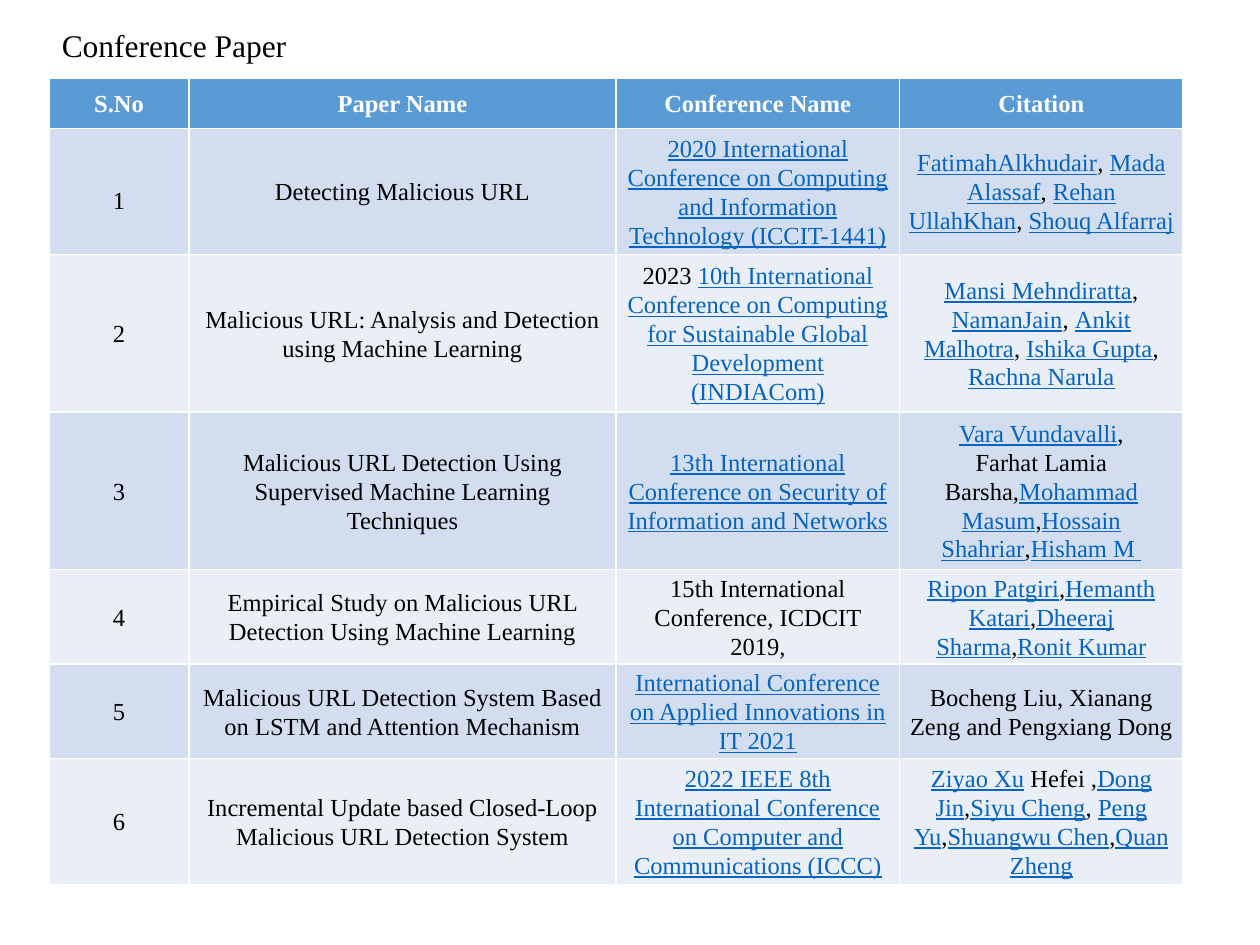
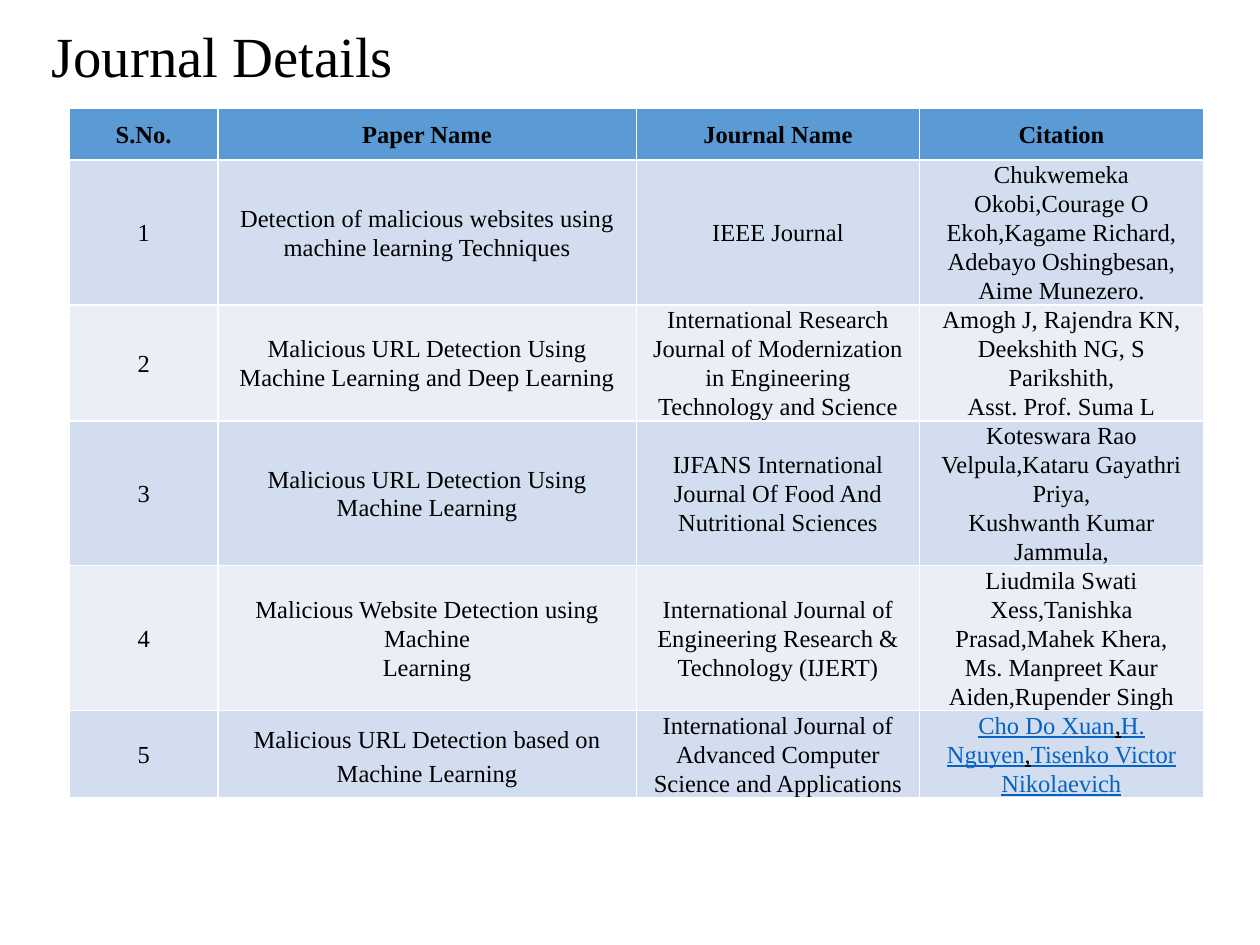
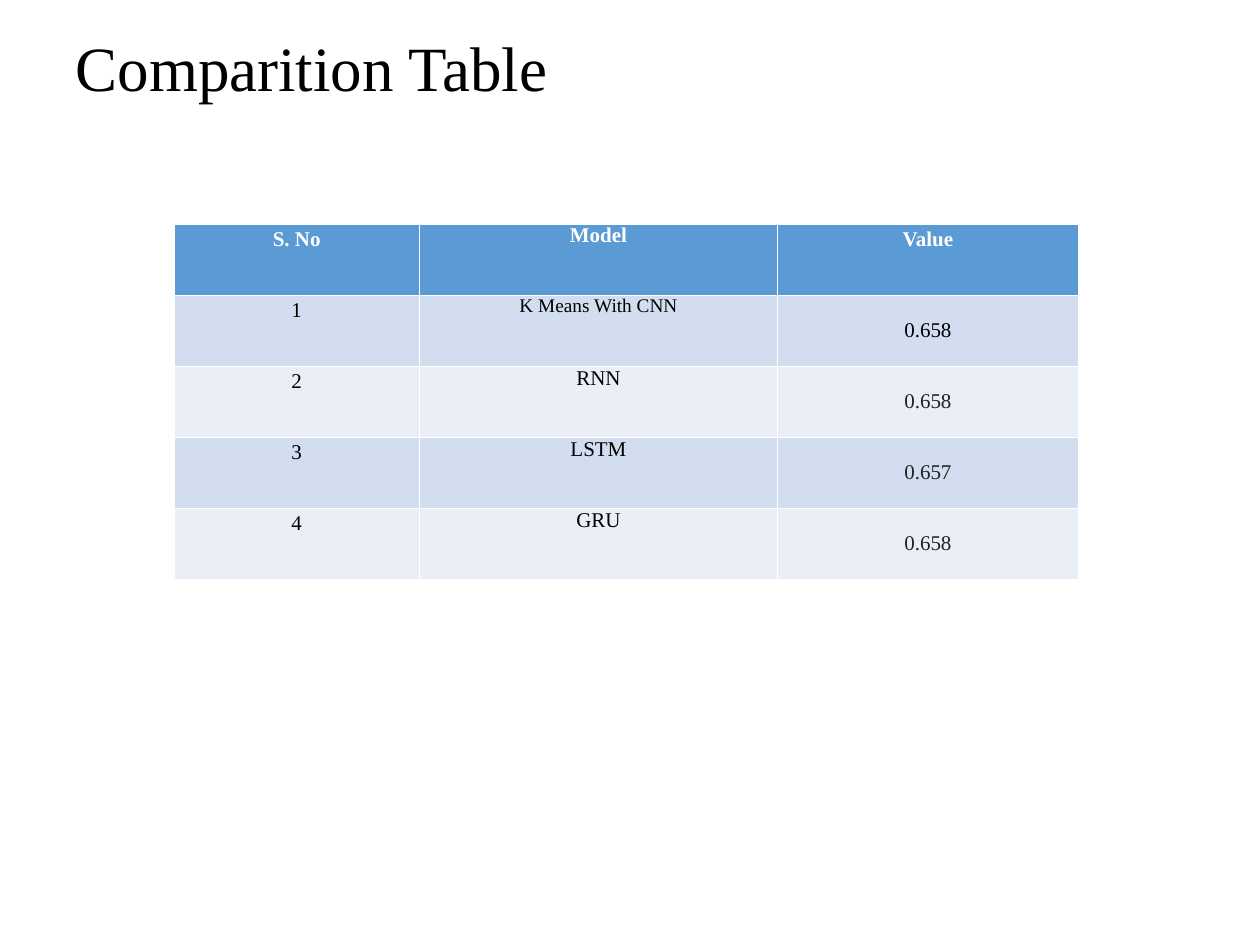
from dataclasses import dataclass, replace

from pptx import Presentation
from pptx import util as u
from pptx.dml import color
from pptx.enum import text

FONT = "Times New Roman"
WIDTH, HEIGHT = u.Inches(10), u.Inches(7.5)
GRID_COLUMNS, GRID_ROWS = 100, 75
COLORS = {
    "ink": "000000",
    "value": "212121",
    "white": "FFFFFF",
    "link": "0563C1",
    "header": "5B9BD5",
    "band_dark": "D2DEEF",
    "band_light": "EAEFF7",
}


@dataclass(frozen=True)
class Style:
    size: float = 14
    color: str = "ink"
    bold: bool = False
    underline: bool = False
    spacing: float | u.Length = 1.07
    space_after: float = 0
    anchor: text.MSO_ANCHOR = text.MSO_ANCHOR.MIDDLE


@dataclass(frozen=True)
class Cell:
    words: str
    style: Style


@dataclass(frozen=True)
class Title:
    words: str
    left: float
    top: float
    width: float
    height: float
    size: float
    anchor: text.MSO_ANCHOR = text.MSO_ANCHOR.MIDDLE


@dataclass(frozen=True)
class Table:
    left: float
    top: float
    height: float
    columns: list[float]
    rows: list[float]
    cells: list[list[Cell]]


def across(columns: float) -> int:
    return round(WIDTH * columns / GRID_COLUMNS)


def down(rows: float) -> int:
    return round(HEIGHT * rows / GRID_ROWS)


def rgb(name: str) -> color.RGBColor:
    return color.RGBColor.from_string(COLORS[name])


def set_all(target, values: dict) -> None:
    for name, value in values.items():
        setattr(target, name, value)


def add_run(paragraph, words: str, style: Style) -> None:
    run = paragraph.add_run()
    run.text = words
    set_all(run.font, {
        "name": FONT,
        "size": u.Pt(style.size),
        "bold": style.bold,
        "underline": style.underline,
    })
    run.font.color.rgb = rgb(style.color)


def draw_title(slide, title: Title) -> None:
    shape = slide.shapes.title
    set_all(shape, {
        "left": across(title.left),
        "top": down(title.top),
        "width": across(title.width),
        "height": down(title.height),
    })
    set_all(shape.text_frame, {
        "word_wrap": True,
        "auto_size": text.MSO_AUTO_SIZE.NONE,
        "vertical_anchor": title.anchor,
    })
    paragraph = shape.text_frame.paragraphs[0]
    paragraph.alignment = text.PP_ALIGN.LEFT
    add_run(paragraph, title.words, Style(size=title.size))


def fill_cell(table_cell, cell: Cell, fill: str) -> None:
    style = cell.style
    link = replace(style, color="link", underline=True)
    table_cell.fill.solid()
    table_cell.fill.fore_color.rgb = rgb(fill)
    set_all(table_cell, {
        "margin_left": u.Inches(0.07),
        "margin_right": u.Inches(0.07),
        "margin_top": 0,
        "margin_bottom": 0,
        "vertical_anchor": style.anchor,
    })
    frame = table_cell.text_frame
    for index, line in enumerate(cell.words.split("\n")):
        paragraph = frame.add_paragraph() if index else frame.paragraphs[0]
        set_all(paragraph, {
            "alignment": text.PP_ALIGN.CENTER,
            "line_spacing": style.spacing,
            "space_after": u.Pt(style.space_after),
        })
        for position, piece in enumerate(line.replace("]", "[").split("[")):
            if piece:
                add_run(paragraph, piece, link if position % 2 else style)


def draw_table(slide, table: Table) -> None:
    frame = slide.shapes.add_table(
        len(table.rows), len(table.columns), across(table.left), down(table.top),
        across(sum(table.columns)), down(table.height))
    for column, width in zip(frame.table.columns, table.columns):
        column.width = across(width)
    for row, height in zip(frame.table.rows, table.rows):
        row.height = down(height)
    frame.height = down(table.height)
    for row_index, row in enumerate(table.cells):
        fill = ("band_dark" if row_index % 2 else "band_light") if row_index else "header"
        for column_index, cell in enumerate(row):
            fill_cell(frame.table.cell(row_index, column_index), cell, fill)


def paper_cells(header: Style, names: list[str], papers: list[list[str | Cell]]) -> list[list[Cell]]:
    body = [
        [entry if isinstance(entry, Cell) else Cell(entry, Style()) for entry in paper]
        for paper in papers
    ]
    return [[Cell(name, header) for name in names], *body]


def model_cells(models: list[tuple[str, str, str]]) -> list[list[Cell]]:
    top = Style(size=12, spacing=1.15, anchor=text.MSO_ANCHOR.TOP)
    header = replace(top, color="white", bold=True)
    model = replace(top, size=11, spacing=1.0)
    value = Style(size=12, spacing=1.0)
    cells = [[Cell("S. No", header), Cell("Model", replace(header, spacing=1.0)), Cell("Value", header)]]
    for number, (name, score, shade) in enumerate(models, start=1):
        size = 11 if number == 1 else 12
        cells.append([
            Cell(str(number), top),
            Cell(name, replace(model, size=size)),
            Cell(score, replace(value, color=shade)),
        ])
    return cells


CONFERENCE_PAPERS = [
    [Cell("1", Style(spacing=u.Pt(26.4))), "Detecting Malicious URL",
     "[2020 International Conference on Computing and Information Technology (ICCIT-1441)]",
     "[FatimahAlkhudair], [Mada Alassaf], [Rehan UllahKhan], [Shouq Alfarraj]"],
    ["2", "Malicious URL: Analysis and Detection using Machine Learning",
     "2023 [10th International Conference on Computing for Sustainable Global Development (INDIACom)]",
     "[Mansi Mehndiratta],\n[NamanJain], [Ankit Malhotra], [Ishika Gupta], [Rachna Narula]"],
    ["3", "Malicious URL Detection Using Supervised Machine Learning Techniques",
     "[13th International Conference on Security of Information and Networks]",
     "[Vara Vundavalli],\nFarhat Lamia Barsha,[Mohammad Masum],[Hossain Shahriar],[Hisham M ]"],
    ["4", "Empirical Study on Malicious URL Detection Using Machine Learning",
     "15th International Conference, ICDCIT 2019,",
     "[Ripon Patgiri],[Hemanth Katari],[Dheeraj Sharma],[Ronit Kumar]"],
    ["5", "Malicious URL Detection System Based on LSTM and Attention Mechanism",
     "[International Conference on Applied Innovations in IT 2021]",
     "Bocheng Liu, Xianang Zeng and Pengxiang Dong"],
    ["6", "Incremental Update based Closed-Loop Malicious URL Detection System",
     "[2022 IEEE 8th International Conference on Computer and Communications (ICCC)]",
     "[Ziyao Xu] Hefei ,[Dong Jin],[Siyu Cheng], [Peng Yu],[Shuangwu Chen],[Quan Zheng]"],
]

JOURNAL_PAPERS = [
    ["1", "Detection of malicious websites using machine learning Techniques", "IEEE Journal",
     "Chukwemeka Okobi,Courage O Ekoh,Kagame Richard,\nAdebayo Oshingbesan,\nAime Munezero."],
    ["2", "Malicious URL Detection Using Machine Learning and Deep Learning",
     "International Research Journal of Modernization in Engineering Technology and Science",
     "Amogh J, Rajendra KN, Deekshith NG, S Parikshith,\nAsst. Prof. Suma L"],
    ["3", "Malicious URL Detection Using Machine Learning",
     "IJFANS International Journal Of Food And Nutritional Sciences",
     "Koteswara Rao Velpula,Kataru Gayathri Priya,\nKushwanth Kumar Jammula,"],
    ["4", "Malicious Website Detection using Machine\nLearning",
     "International Journal of Engineering Research & Technology (IJERT)",
     "Liudmila Swati Xess,Tanishka Prasad,Mahek Khera,\nMs. Manpreet Kaur Aiden,Rupender Singh"],
    ["5",
     Cell("Malicious URL Detection based on Machine Learning", Style(spacing=u.Pt(19.2), space_after=3)),
     "International Journal of Advanced Computer Science and Applications",
     Cell("[Cho Do Xuan],[H. Nguyen],[Tisenko Victor Nikolaevich]", Style(underline=True))],
]

MODELS = [
    ("K Means With CNN", "0.658", "ink"),
    ("RNN", "0.658", "value"),
    ("LSTM", "0.657", "value"),
    ("GRU", "0.658", "value"),
]

SLIDES = [
    (Title("Conference Paper", 3.9, 1.6, 58.6, 4, 18, text.MSO_ANCHOR.TOP),
     Table(3.9, 6.2, 64, [11.1, 33.9, 22.5, 22.5], [4, 10, 12.5, 12.5, 7.5, 7.5, 10],
           paper_cells(Style(color="white", bold=True),
                       ["S.No", "Paper Name", "Conference Name", "Citation"], CONFERENCE_PAPERS))),
    (Title("Journal Details", 3.1, 1.6, 38.7, 5.5, 32.4),
     Table(5.5, 8.6, 58.9, [11.8, 33.2, 22.5, 22.5], [4.1] * 6,
           paper_cells(Style(bold=True),
                       ["S.No.", "Paper Name", "Journal Name", "Citation"], JOURNAL_PAPERS))),
    (Title("Comparition Table", 5, 2.1, 90, 6.4, 36),
     Table(13.8, 17.8, 28.2, [19.5, 28.4, 23.9], [5.64] * 5, model_cells(MODELS))),
]


def main() -> None:
    presentation = Presentation()
    set_all(presentation, {"slide_width": WIDTH, "slide_height": HEIGHT})
    title_only = presentation.slide_layouts.get_by_name("Title Only")
    for title, table in SLIDES:
        slide = presentation.slides.add_slide(title_only)
        draw_title(slide, title)
        draw_table(slide, table)
    presentation.save("out.pptx")


if __name__ == "__main__":
    main()
